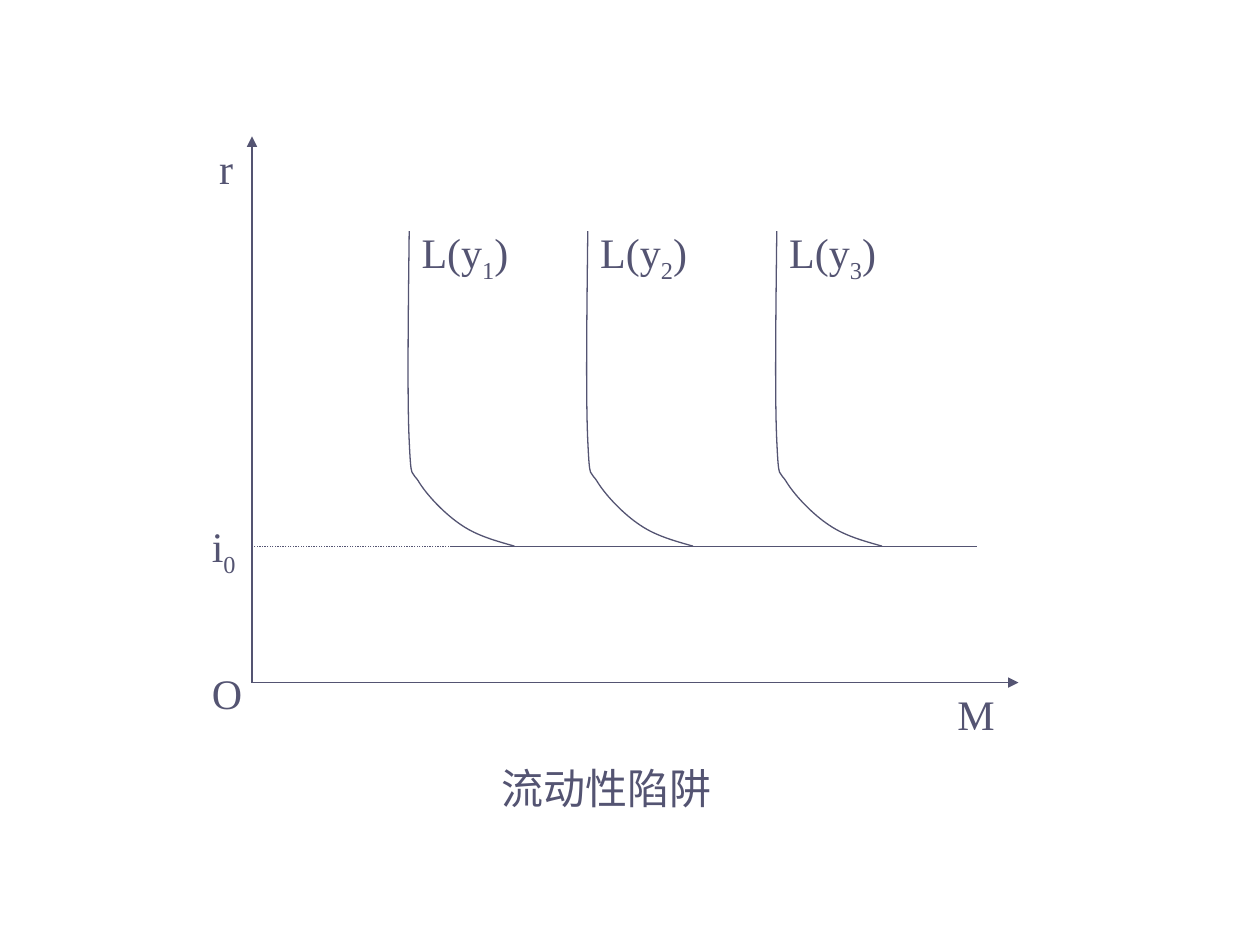
"""Build the liquidity trap slide: three money demand curves meeting one interest floor."""
import pptx
import pptx.dml.color
import pptx.enum.dml
import pptx.enum.text
import pptx.oxml
import pptx.oxml.ns
import pptx.util

Cm = pptx.util.Cm
COLOURS = {"ink": "545472"}
INK = pptx.dml.color.RGBColor.from_string(COLOURS["ink"])
FONT = {"name": "Times New Roman", "size": pptx.util.Pt(24)}
DRAWING = pptx.oxml.ns.nsdecls("a")

deck = pptx.Presentation()
deck.slide_width, deck.slide_height = Cm(25.4), Cm(19.05)
slide = deck.slides.add_slide(deck.slide_layouts[6])


def add_line(start, end, arrow=False, dotted=False):
    line = slide.shapes.add_connector(1, *(Cm(value) for value in start + end))
    line.line.color.rgb = INK
    line.line.width = pptx.util.Pt(0.75)
    if dotted:
        line.line.dash_style = pptx.enum.dml.MSO_LINE.ROUND_DOT
    if arrow:
        head = pptx.oxml.parse_xml(f'<a:tailEnd {DRAWING} type="triangle"/>')
        line.line._get_or_add_ln().append(head)
    line._element.spPr.append(pptx.oxml.parse_xml(f"<a:effectLst {DRAWING}/>"))


def add_label(left, top, width, height, text, subscript="", ending="", wrap=True):
    box = slide.shapes.add_textbox(Cm(left), Cm(top), Cm(width), Cm(height))
    frame = box.text_frame
    frame.word_wrap = wrap
    frame.auto_size = pptx.enum.text.MSO_AUTO_SIZE.SHAPE_TO_FIT_TEXT
    para = frame.paragraphs[0]
    for part, baseline in ((text, 0), (subscript, -25000), (ending, 0)):
        if part:
            span = para.add_run()
            span.text = part
            for name, value in FONT.items():
                setattr(span.font, name, value)
            span.font.color.rgb = INK
            if baseline:
                span._r.get_or_add_rPr().set("baseline", str(baseline))


origin_x, origin_y = 5.08, 13.76
floor_y, floor_start = 11.01, 9.1
add_line((origin_x, origin_y), (origin_x, 2.75), arrow=True)
add_line((origin_x, origin_y), (20.53, origin_y), arrow=True)
add_label(4.02, 13.34, 1.7, 1.27, "O")
add_label(4.17, 2.74, 0.91, 1.27, "r")
add_label(19.05, origin_y, 1.48, 1.27, "M")

curve_lefts = (8.25, 11.85, 15.66)
curve_top = 4.66
curve_bends = (
    ((-0.02, 1.7), (-0.04, 3.4), (0, 4.23)),
    ((0.04, 5.07), (0.04, 4.79), (0.21, 5.08)),
    ((0.39, 5.36), (0.74, 5.72), (1.06, 5.93)),
    ((1.37, 6.14), (1.73, 6.24), (2.12, 6.35)),
)
for left in curve_lefts:
    builder = slide.shapes.build_freeform(Cm(left), Cm(curve_top))
    builder.add_line_segments(
        [(Cm(left + bend[-1][0]), Cm(curve_top + bend[-1][1])) for bend in curve_bends],
        close=False)
    curve = builder.convert_to_shape()
    segments = list(curve._element.iter(pptx.oxml.ns.qn("a:lnTo")))
    for segment, bend in zip(segments, curve_bends):
        points = "".join(f'<a:pt x="{Cm(x)}" y="{Cm(y)}"/>' for x, y in bend)
        segment.getparent().replace(segment, pptx.oxml.parse_xml(
            f"<a:cubicBezTo {DRAWING}>{points}</a:cubicBezTo>"))
    curve.shadow.inherit = False
    curve.fill.background()
    curve.line.color.rgb = INK
    curve.line.width = pptx.util.Pt(0.75)

add_line((19.69, floor_y), (floor_start, floor_y))
add_line((floor_start, floor_y), (origin_x, floor_y), dotted=True)
for number, left in enumerate(curve_lefts, 1):
    add_label(left, 4.45, 2.54, 1.42, "L(y", str(number), ")")
add_label(4.02, 10.37, 1.06, 1.42, "i", "0")
add_label(9.86, 15.24, 4.8, 1.27, "流动性陷阱", wrap=False)

deck.save("out.pptx")
